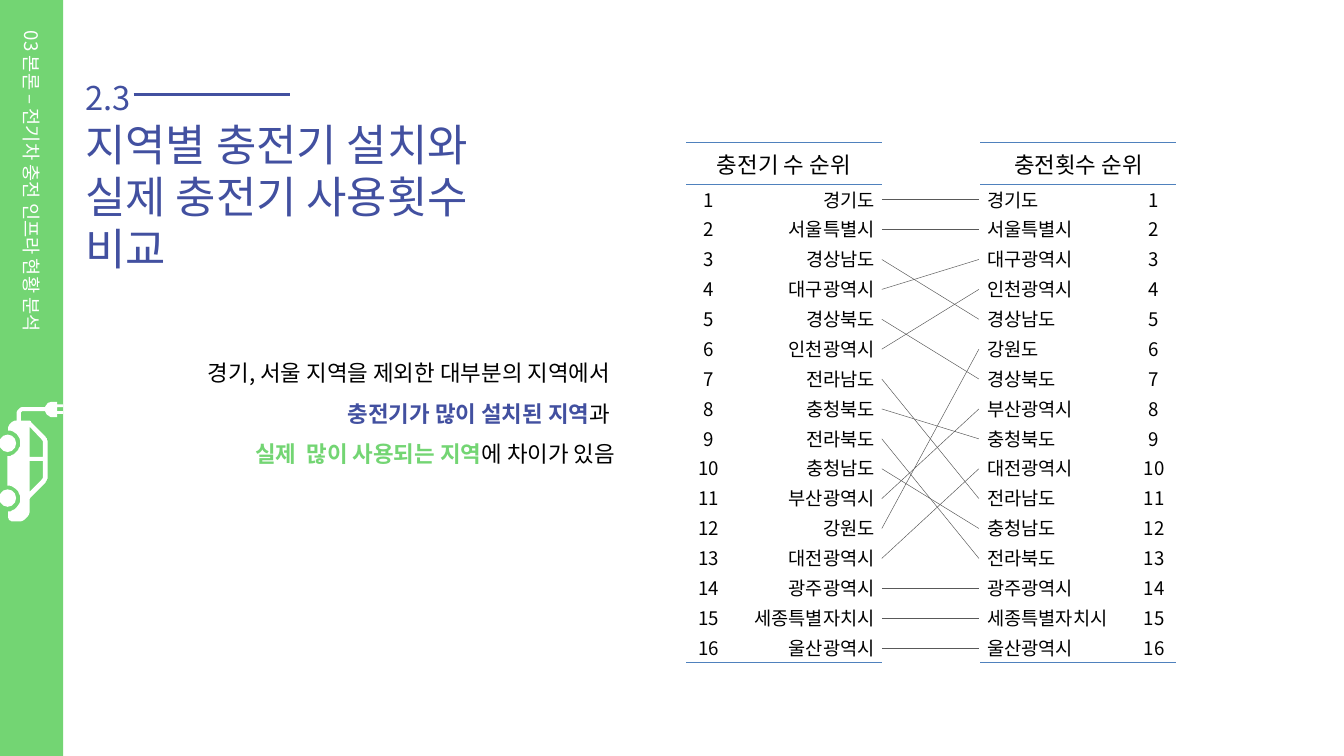
from pptx import Presentation
from pptx.dml.color import RGBColor as Rgb
from pptx.enum.shapes import MSO_CONNECTOR as Line, MSO_SHAPE as Preset
from pptx.enum.text import MSO_ANCHOR as Anchor, PP_ALIGN as Align
from pptx.oxml.ns import qn
from pptx.oxml.xmlchemy import OxmlElement as Element
from pptx.util import Cm, Pt

# ---- Content ----
CHAPTER = "03 본론 – 전기차 충전 인프라 현황 분석"
SECTION = "2.3"
TITLE = ["지역별 충전기 설치와", "실제 충전기 사용횟수 비교"]
MESSAGE = [  # each line: (text, colour, bold)
    [("경기, 서울 지역을 제외한 대부분의 지역에서 ", "text", False)],
    [("충전기가 많이 설치된 지역", "blue", True), ("과 ", "text", False)],
    [("실제  많이 사용되는 지역", "green", True), ("에 차이가 있음", "text", False)],
]
CHARGERS_HEAD, USES_HEAD = "충전기 수 순위", "충전횟수 순위"
BY_CHARGERS = [
    "경기도", "서울특별시", "경상남도", "대구광역시", "경상북도", "인천광역시",
    "전라남도", "충청북도", "전라북도", "충청남도", "부산광역시", "강원도",
    "대전광역시", "광주광역시", "세종특별자치시", "울산광역시",
]
BY_USES = [
    "경기도", "서울특별시", "대구광역시", "인천광역시", "경상남도", "강원도",
    "경상북도", "부산광역시", "충청북도", "대전광역시", "전라남도", "충청남도",
    "전라북도", "광주광역시", "세종특별자치시", "울산광역시",
]

# Car outline: 2 numbers are a corner, 6 numbers a Bezier curve
CAR_BODY = [
    (44, 759), (44, 745), (44, 743, 45, 741, 46, 740), (67, 719),
    (69, 716, 71, 713, 71, 709), (71, 659), (71, 655, 69, 651, 67, 649),
    (46, 628), (45, 626, 43, 626, 42, 626), (31, 626), (31, 615),
    (31, 614, 32, 612, 34, 612), (67, 612), (69, 617, 73, 621, 78, 621),
    (85, 621), (85, 616), (93, 616), (94, 616, 94, 616, 94, 614),
    (94, 613, 94, 612, 93, 612), (85, 612), (85, 606), (93, 606),
    (94, 606, 94, 605, 94, 604), (94, 603, 94, 602, 93, 602), (85, 602),
    (85, 598), (78, 598), (73, 598, 69, 601, 67, 606), (34, 606),
    (29, 606, 25, 610, 25, 615), (25, 626), (18, 626, 12, 632, 12, 639),
    (12, 641), (22, 641, 30, 649, 30, 660), (30, 670, 21, 679, 11, 679),
    (11, 723), (21, 723, 30, 731, 30, 742), (30, 752, 22, 761, 12, 761),
    (12, 769), (12, 773, 15, 776, 18, 776), (28, 776),
    (37, 776, 44, 769, 44, 759),
]
CAR_WINDOWS = [
    [(44, 680), (44, 635), (62, 654), (63, 655, 64, 657, 64, 659), (64, 680)],
    [(44, 686), (64, 686), (64, 709), (64, 711, 63, 712, 62, 714), (44, 732)],
]
CAR_UNIT = Cm(2.54) / 100
WHEEL_TOPS = [16.43, 18.5]

THEME = {
    "font": "Noto Sans CJK KR",
    "green": "73D573", "blue": "4250A0", "text": "000000", "white": "FFFFFF",
    "border": "4F81BD", "link": "595959",
    "chapter": 20, "section": 35, "title": 47, "message": 24, "head": 24, "cell": 20,
}

# ---- Layout in cm ----
HEAD_H, ROW_H = 1.58, 1.13
LINK_LEFT, LINK_RIGHT, LINK_TOP = 33.33, 37.0, 7.55

deck = Presentation()
deck.slide_width, deck.slide_height = Cm(50.8), Cm(28.58)
slide = deck.slides.add_slide(deck.slide_layouts[6])
shapes = slide.shapes


def colour(name):
    return Rgb.from_string(THEME[name])


def add_run(para, text, size, tone, bold=False):
    run = para.add_run()
    run.text = text
    run.font.size, run.font.bold = Pt(THEME[size]), bold
    run.font.color.rgb = colour(tone)
    run.font.name = THEME["font"]
    east_asian = Element("a:ea")
    east_asian.set("typeface", THEME["font"])
    run.font._element.append(east_asian)


def add_text(box, lines, size, spacing, align=Align.LEFT):
    frame = shapes.add_textbox(*map(Cm, box)).text_frame
    frame.word_wrap = True
    for i, line in enumerate(lines):
        para = frame.paragraphs[0] if i == 0 else frame.add_paragraph()
        para.alignment, para.line_spacing = align, Pt(spacing)
        for text, tone, bold in line:
            add_run(para, text, size, tone, bold)


def add_line(x1, y1, x2, y2, tone, width):
    line = shapes.add_connector(Line.STRAIGHT, Cm(x1), Cm(y1), Cm(x2), Cm(y2))
    line.line.color.rgb, line.line.width = colour(tone), Pt(width)
    line._element.spPr.append(Element("a:effectLst"))


def paint(shape, tone):
    shape.shadow.inherit = False
    shape.fill.solid()
    shape.fill.fore_color.rgb = colour(tone)
    shape.line.fill.background()
    return shape


def flatten(outline, steps=8):
    points = []
    for part in outline:
        if len(part) == 2:
            points.append(part)
            continue
        curve = [points[-1], part[:2], part[2:4], part[4:]]
        for t in (k / steps for k in range(1, steps + 1)):
            weights = ((1 - t) ** 3, 3 * t * (1 - t) ** 2, 3 * t * t * (1 - t), t ** 3)
            points.append(tuple(sum(w * p[axis] for w, p in zip(weights, curve))
                                for axis in (0, 1)))
    return points


def add_border(cell, side):
    border = Element(f"a:ln{side}")
    border.set("w", str(Pt(1)))
    fill, tone = Element("a:solidFill"), Element("a:srgbClr")
    tone.set("val", THEME["border"])
    fill.append(tone)
    border.append(fill)
    cell._tc.get_or_add_tcPr().append(border)


def fill_cell(cell, text, align, size, borders=""):
    for side in borders:
        add_border(cell, side)
    cell.fill.background()
    para = cell.text_frame.paragraphs[0]
    para.alignment = align
    add_run(para, text, size, "text")
    if size == "head":
        cell.vertical_anchor = Anchor.MIDDLE
    else:
        cell.margin_top, cell.margin_bottom = Cm(0.1), 0
        para.line_spacing = Pt(27)


def add_ranking(left, top, head, regions, widths, rank_col, region_align):
    height = HEAD_H + ROW_H * len(regions)
    table = shapes.add_table(len(regions) + 1, 2, Cm(left), Cm(top),
                             Cm(sum(widths)), Cm(height)).table
    table.first_row = table.horz_banding = False
    no_grid = "{2D5ABB26-0587-4C30-8999-92F81FD0307C}"
    table._tbl.tblPr.find(qn("a:tableStyleId")).text = no_grid
    for column, width in zip(table.columns, widths):
        column.width = Cm(width)
    for i, row in enumerate(table.rows):
        row.height = Cm(ROW_H if i else HEAD_H)
    table.cell(0, 0).merge(table.cell(0, 1))
    fill_cell(table.cell(0, 0), head, Align.CENTER, "head", "TB")
    for side in "TB":
        add_border(table.cell(0, 1), side)
    for rank, region in enumerate(regions, 1):
        borders = "B" if rank == len(regions) else ""
        fill_cell(table.cell(rank, rank_col), str(rank), Align.CENTER, "cell", borders)
        fill_cell(table.cell(rank, 1 - rank_col), region, region_align, "cell", borders)


# Chapter sidebar
sidebar = paint(shapes.add_shape(Preset.RECTANGLE, 0, Cm(-0.53), Cm(2.39), Cm(30.05)), "green")
sidebar.text_frame.vertical_anchor = Anchor.MIDDLE
sidebar.text_frame._txBody.bodyPr.set("vert", "vert")
chapter = sidebar.text_frame.paragraphs[0]
chapter.alignment = Align.LEFT
chapter._p.get_or_add_pPr().set("marL", str(Cm(1.45)))
add_run(chapter, CHAPTER, "chapter", "white")

# Section number, rule and title
add_text((2.97, 4.32, 17.58, 4.27), [[(t, "blue", False)] for t in TITLE], "title", 56)
add_text((2.97, 2.78, 5.54, 1.75), [[(SECTION, "blue", False)]], "section", 43)
add_line(5.05, 3.58, 10.95, 3.58, "blue", 3)

# Electric car
for top in WHEEL_TOPS:
    paint(shapes.add_shape(Preset.OVAL, Cm(-0.03), Cm(top), Cm(0.64), Cm(0.66)), "white")
body = flatten(CAR_BODY)
car = shapes.build_freeform(*body[0], scale=CAR_UNIT)
car.add_line_segments(body[1:])
for window in map(flatten, CAR_WINDOWS):
    car.move_to(*window[0])
    car.add_line_segments(window[1:])
paint(car.convert_to_shape(), "white")

# Rankings, and links between the two ranks of each region
add_ranking(25.93, 5.4, CHARGERS_HEAD, BY_CHARGERS, (1.73, 5.66), 0, Align.RIGHT)
add_ranking(37.06, 5.4, USES_HEAD, BY_USES, (5.72, 1.68), 1, Align.LEFT)
for i, region in enumerate(BY_CHARGERS):
    add_line(LINK_LEFT, LINK_TOP + i * ROW_H,
             LINK_RIGHT, LINK_TOP + BY_USES.index(region) * ROW_H, "link", 0.5)

# Message
add_text((4.6, 12.95, 18.9, 4.72), MESSAGE, "message", 43.4, Align.RIGHT)

deck.save("out.pptx")
